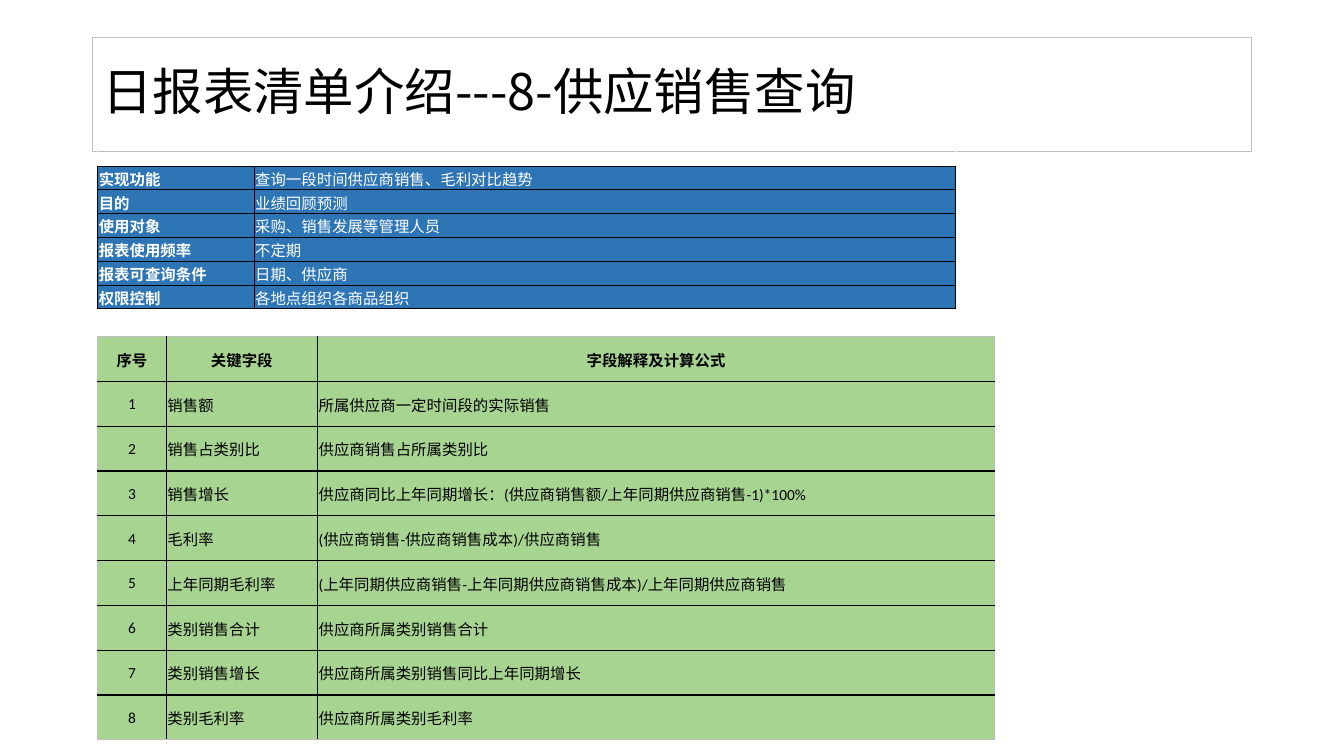
"""Build the supplier sales query slide with its overview and field tables."""
from dataclasses import dataclass

from lxml import etree
from pptx import Presentation
from pptx.dml.color import RGBColor
from pptx.enum.shapes import MSO_SHAPE
from pptx.enum.text import MSO_ANCHOR, PP_ALIGN
from pptx.oxml.ns import qn
from pptx.slide import Slide
from pptx.table import _Cell
from pptx.text.text import _Paragraph
from pptx.util import Cm, Pt

RECTANGLE = MSO_SHAPE.RECTANGLE
MIDDLE = MSO_ANCHOR.MIDDLE
LEFT, CENTER = PP_ALIGN.LEFT, PP_ALIGN.CENTER
CJK_FONT, LATIN_FONT = "Noto Sans CJK SC", "Calibri"
COLORS = {"black": "000000", "white": "FFFFFF", "grey": "BFBFBF", "blue": "2E75B6", "green": "A8D492"}
TITLE = "日报表清单介绍---8-供应销售查询"
TABLE_TEXT_SIZE = 11

OVERVIEW_ROWS = [
    ("", ""),
    ("实现功能", "查询一段时间供应商销售、毛利对比趋势"),
    ("目的", "业绩回顾预测"),
    ("使用对象", "采购、销售发展等管理人员"),
    ("报表使用频率", "不定期"),
    ("报表可查询条件", "日期、供应商"),
    ("权限控制", "各地点组织各商品组织"),
]
FIELDS = [
    ("销售额", "所属供应商一定时间段的实际销售"),
    ("销售占类别比", "供应商销售占所属类别比"),
    ("销售增长", "供应商同比上年同期增长：(供应商销售额/上年同期供应商销售-1)*100%"),
    ("毛利率", "(供应商销售-供应商销售成本)/供应商销售"),
    ("上年同期毛利率", "(上年同期供应商销售-上年同期供应商销售成本)/上年同期供应商销售"),
    ("类别销售合计", "供应商所属类别销售合计"),
    ("类别销售增长", "供应商所属类别销售同比上年同期增长"),
    ("类别毛利率", "供应商所属类别毛利率"),
]
FIELD_ROWS = [("序号", "关键字段", "字段解释及计算公式")] + [
    (str(number), *field) for number, field in enumerate(FIELDS, 1)
]


@dataclass
class TableSpec:
    """Place, content and look of one table."""

    top: float
    columns: list[float]
    row_height: float
    rows: list[tuple[str, ...]]
    fill: str
    text_color: str
    font: str
    border_width: float
    outer_color: str
    has_spacer: bool
    has_header: bool


OVERVIEW = TableSpec(3.58, [3.94, 17.68], 0.6, OVERVIEW_ROWS, "blue", "white",
                     CJK_FONT, 0.5, "black", has_spacer=True, has_header=False)
FIELD_TABLE = TableSpec(8.48, [1.73, 3.81, 17.07], 1.13, FIELD_ROWS, "green", "black",
                        LATIN_FONT, 1, "grey", has_spacer=False, has_header=True)


def rgb(name: str) -> RGBColor:
    """Look up a named colour."""
    return RGBColor.from_string(COLORS[name])


def write_text(para: _Paragraph, text: str, size: float, color: str, font: str, bold: bool = False) -> None:
    """Fill a paragraph and format its runs."""
    para.text = text
    for span in para.runs:
        span.font.size = Pt(size)
        span.font.bold = bold
        span.font.color.rgb = rgb(color)
        span.font.name = font
        etree.SubElement(span.font._element, qn("a:ea"), typeface=CJK_FONT)


def add_border(cell: _Cell, side: str, color: str, width: float) -> None:
    """Draw one side of a cell: L, R, T or B."""
    properties = cell._tc.get_or_add_tcPr()
    line = etree.SubElement(properties, qn(f"a:ln{side}"), w=str(Pt(width)))
    solid = etree.SubElement(line, qn("a:solidFill"))
    etree.SubElement(solid, qn("a:srgbClr"), val=COLORS[color])


def format_cell(cell: _Cell) -> None:
    """Set the tight insets and the middle anchor of a cell."""
    cell.margin_left = cell.margin_right = cell.margin_top = Cm(0.03)
    cell.margin_bottom = 0
    cell.vertical_anchor = MIDDLE


def add_title(page: Slide) -> None:
    """Add the outlined title box."""
    box = page.shapes.add_shape(RECTANGLE, Cm(2.33), Cm(0.95), Cm(29.21), Cm(2.87))
    box.shadow.inherit = False
    box.fill.background()
    box.line.color.rgb = rgb("grey")
    box.line.width = Pt(0.75)
    box.text_frame.word_wrap = True
    box.text_frame.vertical_anchor = MIDDLE
    para = box.text_frame.paragraphs[0]
    para.alignment = LEFT
    para.line_spacing = 0.9
    write_text(para, TITLE, 36, "black", CJK_FONT)


def add_spacer(cell: _Cell, last_cell: _Cell) -> None:
    """Merge the empty top row and keep it at its small height."""
    cell.merge(last_cell)
    for part in (cell, last_cell):
        format_cell(part)
        add_border(part, "B", "black", 0.5)
        part.fill.background()
        etree.SubElement(part.text_frame.paragraphs[0]._p, qn("a:endParaRPr"),
                         sz=str(TABLE_TEXT_SIZE * 100))


def add_table(page: Slide, spec: TableSpec) -> None:
    """Add a table with its borders, fills and text."""
    row_count, column_count = len(spec.rows), len(spec.columns)
    frame = page.shapes.add_table(row_count, column_count, Cm(2.46), Cm(spec.top),
                                  Cm(sum(spec.columns)), Cm(spec.row_height * row_count))
    table = frame.table
    table.horz_banding = False
    table.first_row = False
    for column, width in zip(table.columns, spec.columns):
        column.width = Cm(width)
    for row in table.rows:
        row.height = Cm(spec.row_height)
    if spec.has_spacer:
        add_spacer(table.cell(0, 0), table.cell(0, column_count - 1))
    first_row = int(spec.has_spacer)
    for row_index in range(first_row, row_count):
        for column_index, text in enumerate(spec.rows[row_index]):
            cell = table.cell(row_index, column_index)
            format_cell(cell)
            outer_sides = {
                "L": column_index == 0,
                "R": column_index == column_count - 1,
                "T": row_index == first_row,
                "B": row_index == row_count - 1,
            }
            for side, is_outer in outer_sides.items():
                add_border(cell, side, spec.outer_color if is_outer else "black", spec.border_width)
            cell.fill.solid()
            cell.fill.fore_color.rgb = rgb(spec.fill)
            is_heading = row_index == 0 if spec.has_header else column_index == 0
            is_centered = spec.has_header and (row_index == 0 or column_index == 0)
            para = cell.text_frame.paragraphs[0]
            para.alignment = CENTER if is_centered else LEFT
            write_text(para, text, TABLE_TEXT_SIZE, spec.text_color, spec.font, is_heading)


def main() -> None:
    """Build and save the deck."""
    deck = Presentation()
    deck.slide_width, deck.slide_height = Cm(33.87), Cm(19.05)
    page = deck.slides.add_slide(deck.slide_layouts[6])
    add_title(page)
    for spec in (OVERVIEW, FIELD_TABLE):
        add_table(page, spec)
    deck.save("out.pptx")


if __name__ == "__main__":
    main()
